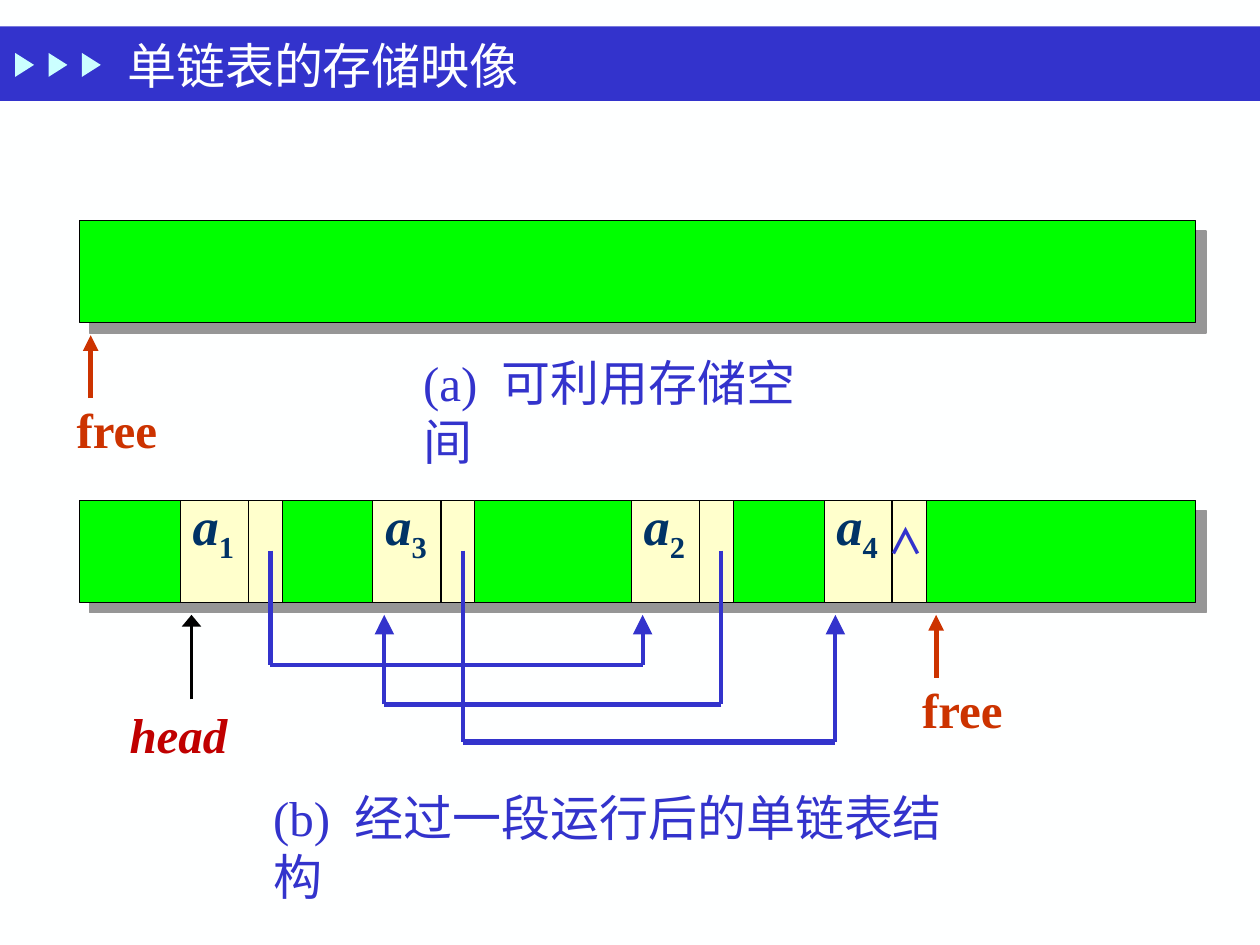
from lxml.etree import SubElement
from pptx import Presentation
from pptx.dml.color import RGBColor
from pptx.enum.shapes import MSO_CONNECTOR, MSO_SHAPE
from pptx.enum.text import MSO_ANCHOR, PP_ALIGN
from pptx.oxml.ns import qn
from pptx.util import Inches, Pt

WHITE = RGBColor(0xFE, 0xFF, 0xFF)
BLACK = RGBColor(0x00, 0x00, 0x00)
BLUE = RGBColor(0x33, 0x33, 0xCC)
PALE_CYAN = RGBColor(0xCB, 0xFF, 0xFF)
GREEN = RGBColor(0x00, 0xFF, 0x00)
CREAM = RGBColor(0xFF, 0xFF, 0xCC)
NAVY = RGBColor(0x00, 0x33, 0x66)
ORANGE = RGBColor(0xCC, 0x33, 0x00)
RED = RGBColor(0xC0, 0x00, 0x00)
GRAY = RGBColor(0x96, 0x96, 0x96)

LATIN, CJK = "Times New Roman", "Noto Sans CJK SC"
COLUMNS, ROWS = 100, 75

# Memory strip and node geometry, in grid columns and rows
STRIP_LEFT, STRIP_WIDTH, STRIP_HEIGHT = 6.3, 88.6, 8.1
FREE_TOP, LIST_TOP = 17.5, 39.7
DIVIDER, POINTER, ENTRY = 5.4, 7.15, 0.9
LINK_START, ARROW_TIP = 43.7, 48.8
NODES = {"1": 14.3, "3": 29.6, "2": 50.1, "4": 65.4}
# Source node, target node, level of the run, weight of drop and run
LINKS = [("1", "2", 52.8, 3, 2.25),
         ("2", "3", 55.9, 2.25, 3),
         ("3", "4", 58.9, 2.25, 3)]


class Board:
    """Current slide with a 100 by 75 grid and the shared text style."""

    def __init__(self, deck):
        self.column = deck.slide_width / COLUMNS
        self.row = deck.slide_height / ROWS
        self.slide = deck.slides.add_slide(deck.slide_layouts[5])
        self.slide.background.fill.solid()
        self.slide.background.fill.fore_color.rgb = WHITE

    def place(self, left, top, *size):
        steps = (self.column, self.row, self.column, self.row)
        return [round(value * step) for value, step in zip((left, top, *size), steps)]

    def span(self, para, text, color, size=28, font=LATIN, bold=False,
             italic=False, baseline=0, spacing=0):
        span = para.add_run()
        span.text = text
        span.font.name = font
        span.font.size = Pt(size)
        span.font.bold, span.font.italic = bold, italic
        span.font.color.rgb = color
        properties = span.font._element
        SubElement(properties, qn("a:ea")).set("typeface", CJK)
        if baseline:
            properties.set("baseline", str(baseline * 1000))
        if spacing:
            properties.set("spc", str(spacing * 100))

    def title(self, text, *area):
        title = self.slide.shapes.title
        title.left, title.top, title.width, title.height = self.place(*area)
        title.text_frame.vertical_anchor = MSO_ANCHOR.MIDDLE
        para = title.text_frame.paragraphs[0]
        para.alignment = PP_ALIGN.LEFT
        self.span(para, text, WHITE)

    def text(self, area, spans, size=28):
        box = self.slide.shapes.add_textbox(*self.place(*area))
        box.text_frame.word_wrap = True
        para = box.text_frame.paragraphs[0]
        para.line_spacing = Pt(size * 1.2)
        for text, style in spans:
            self.span(para, text, size=size, **style)

    def caption(self, area, mark, words):
        self.text(area, [(mark, {"color": BLUE}),
                         (" ", {"color": BLUE, "spacing": 7}),
                         (words, {"color": BLUE, "font": CJK})])

    def shape(self, kind, area, fill, line_width=0, rotation=0):
        shape = self.slide.shapes.add_shape(kind, *self.place(*area))
        shape.shadow.inherit = False
        shape.rotation = rotation
        shape.fill.solid()
        shape.fill.fore_color.rgb = fill
        if line_width:
            shape.line.color.rgb = BLACK
            shape.line.width = Pt(line_width)
        else:
            shape.line.fill.background()
        return shape

    def strip(self, top):
        """Draw a block of memory with a hard shadow."""
        strip = self.shape(MSO_SHAPE.RECTANGLE,
                           (STRIP_LEFT, top, STRIP_WIDTH, STRIP_HEIGHT), GREEN, 0.75)
        effects = strip._element.spPr.find(qn("a:effectLst"))
        shadow = SubElement(effects, qn("a:outerShdw"), dist=str(Pt(8.5)),
                            dir=str(45 * 60000), algn="ctr", rotWithShape="0")
        SubElement(shadow, qn("a:srgbClr"), val=str(GRAY))

    def line(self, start, end, color, width, head=None):
        """Draw a line; head gives the width and length of its arrowhead."""
        line = self.slide.shapes.add_connector(
            MSO_CONNECTOR.STRAIGHT, *self.place(*start), *self.place(*end))
        line.line.color.rgb = color
        line.line.width = Pt(width)
        if head:
            SubElement(line.line._get_or_add_ln(), qn("a:tailEnd"),
                       type="triangle", w=head[0], len=head[1])
        SubElement(line._element.spPr, qn("a:effectLst"))

    def node(self, index, left):
        self.shape(MSO_SHAPE.RECTANGLE, (left, LIST_TOP, 8.1, STRIP_HEIGHT), CREAM, 0.5)
        middle = left + DIVIDER
        self.line((middle, LIST_TOP), (middle, LIST_TOP + STRIP_HEIGHT), BLACK, 0.75)
        style = {"color": NAVY, "bold": True}
        self.text((left, 39.3, 7.5, 7.3),
                  [("a", {**style, "italic": True}), (index, {**style, "baseline": -25})], 30)

    def link(self, source, target, level, drop_width, run_width):
        start, end = NODES[source] + POINTER, NODES[target] + ENTRY
        self.line((start, LINK_START), (start, level), BLUE, drop_width)
        self.line((start, level), (end, level), BLUE, run_width)
        self.line((end, level), (end, ARROW_TIP), BLUE, 2.25, ("lg", "lg"))

    def free_pointer(self, center, tip):
        self.line((center, tip + 5), (center, tip), ORANGE, 3, ("med", "med"))
        self.text((center - 2.1, tip + 4.6, 9.1, 6.9),
                  [("free", {"color": ORANGE, "bold": True})])


def main():
    deck = Presentation()
    deck.slide_width, deck.slide_height = Inches(10), Inches(7.5)
    board = Board(deck)

    band = board.shape(MSO_SHAPE.RECTANGLE, (0, 2.1, 100, 5.9), BLUE)
    board.slide.shapes.title._element.addprevious(band._element)
    for number in range(3):
        board.shape(MSO_SHAPE.ISOSCELES_TRIANGLE,
                    (1 + 2.65 * number, 4.4, 1.9, 1.5), PALE_CYAN, rotation=90)
    board.title("单链表的存储映像", 9.1, 1.8, 85.9, 6.7)

    board.strip(FREE_TOP)
    board.free_pointer(7.2, 26.6)
    board.caption((32.6, 27.5, 35.1, 5.7), "(a)", "可利用存储空间")

    board.strip(LIST_TOP)
    for index, left in NODES.items():
        board.node(index, left)
    board.text((69.5, 40.7, 5.2, 5.3),
               [("∧", {"color": BLUE, "font": CJK, "bold": True})], 20)
    board.line((15.2, 55.5), (15.2, ARROW_TIP), BLACK, 2.25, ("lg", "med"))
    board.text((9.3, 55.4, 11, 5.7),
               [("head", {"color": RED, "bold": True, "italic": True})])
    board.free_pointer(74.3, ARROW_TIP)
    for link in LINKS:
        board.link(*link)
    board.caption((20.7, 62, 58, 5.7), "(b)", "经过一段运行后的单链表结构")

    deck.save("out.pptx")


if __name__ == "__main__":
    main()
